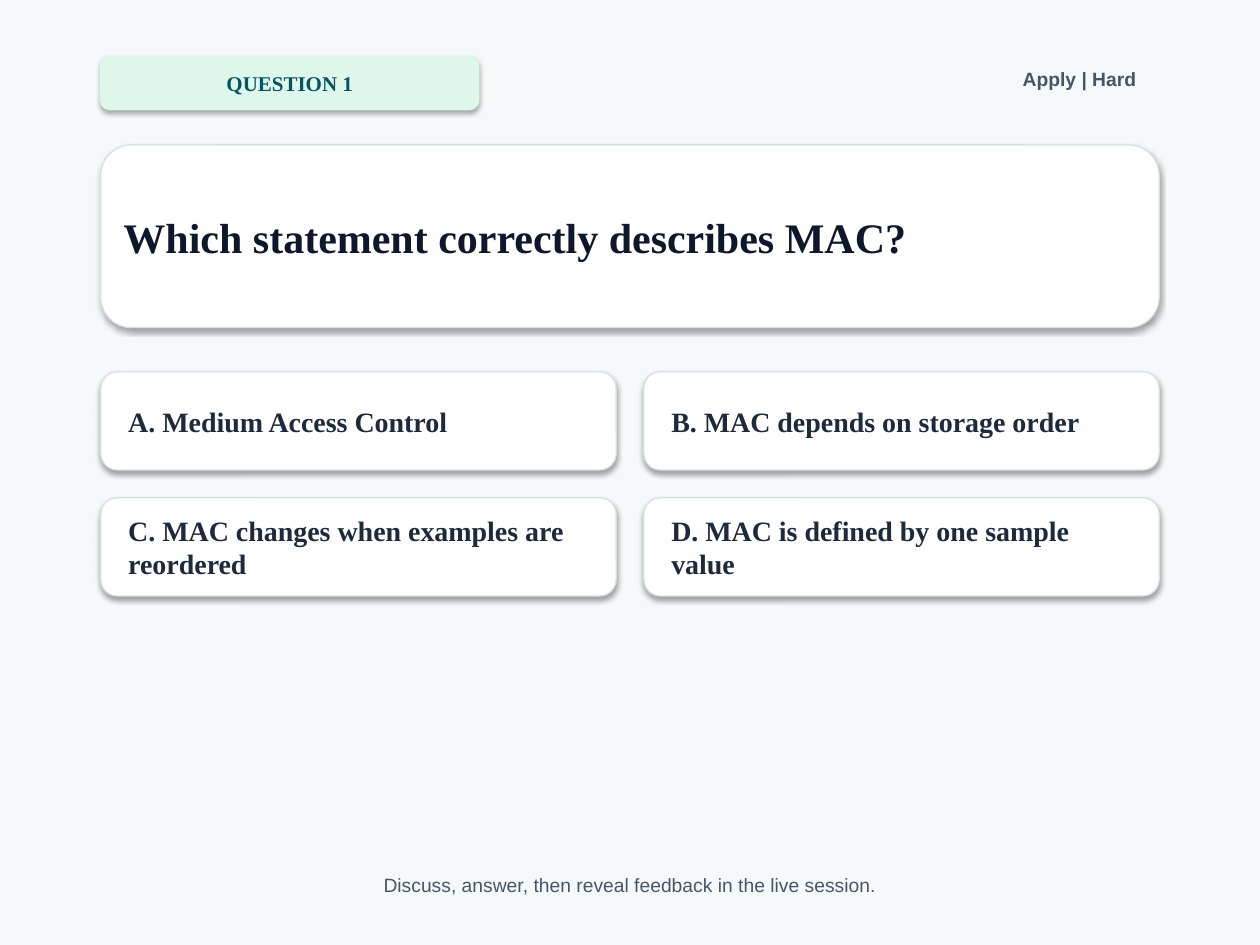
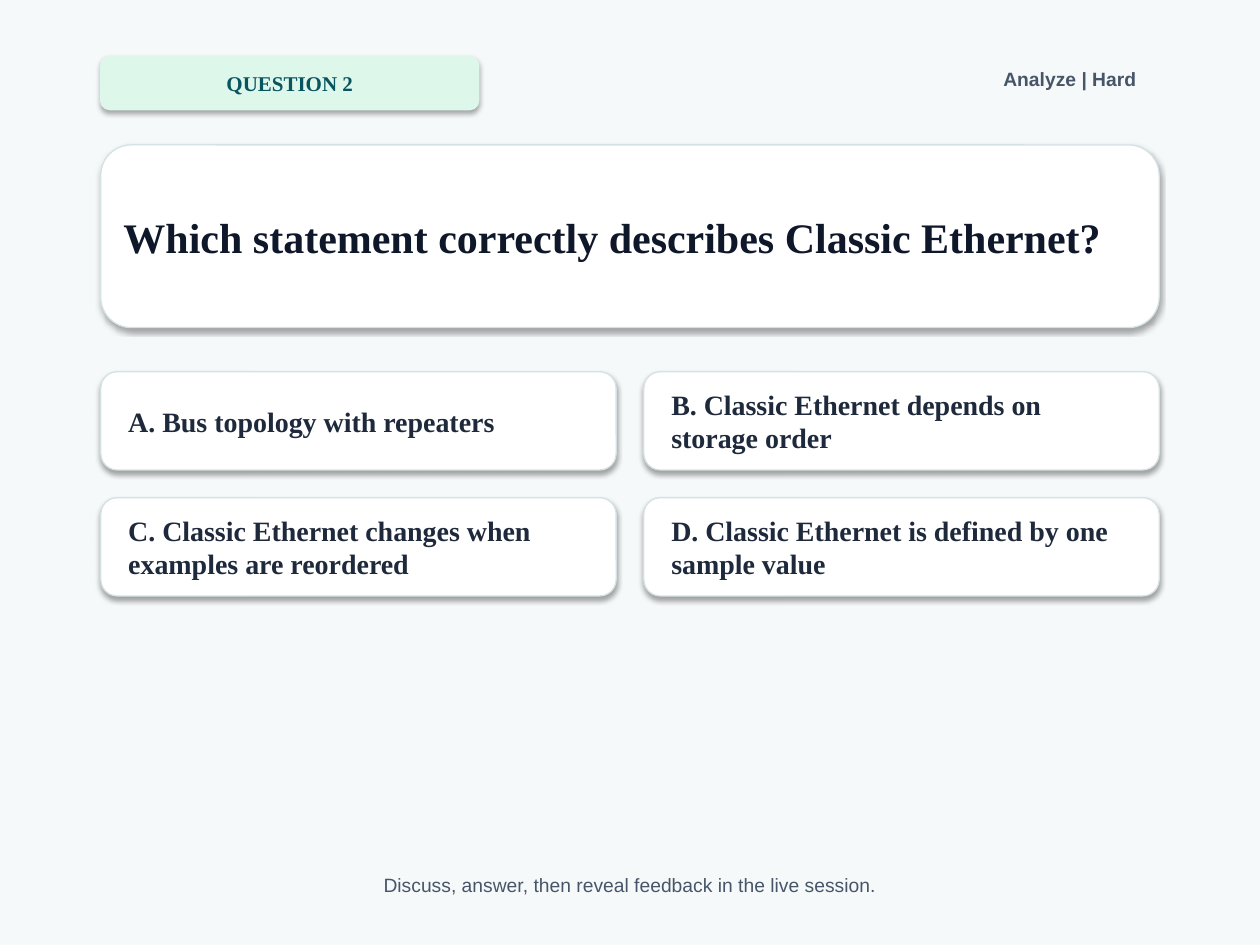
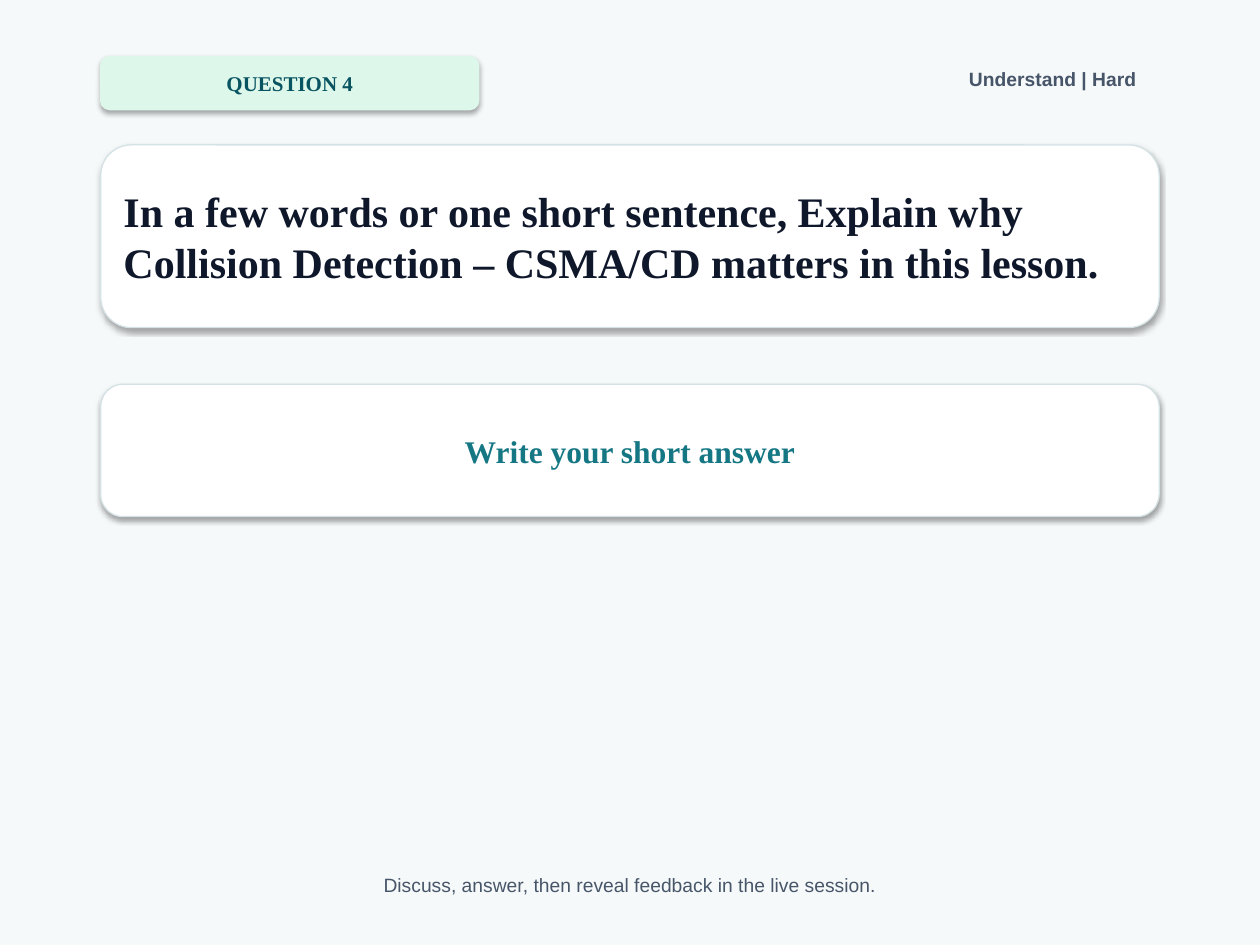
from pptx import Presentation
from pptx.dml.color import RGBColor
from pptx.enum.shapes import MSO_SHAPE
from pptx.enum.text import MSO_ANCHOR, MSO_AUTO_SIZE, PP_ALIGN
from pptx.util import Inches, Pt

ROUNDED = MSO_SHAPE.ROUNDED_RECTANGLE
TOP, MIDDLE = MSO_ANCHOR.TOP, MSO_ANCHOR.MIDDLE
LEFT, CENTER, RIGHT = PP_ALIGN.LEFT, PP_ALIGN.CENTER, PP_ALIGN.RIGHT
NO_AUTOFIT = MSO_AUTO_SIZE.NONE
TITLE_ONLY = 5

COLORS = {
    "background": "F6F9FA",
    "badge": "DEF7EB",
    "badge_text": "085461",
    "card": "FFFFFF",
    "card_line": "D4E2E5",
    "question": "0F172A",
    "option": "1E293B",
    "prompt": "167784",
    "muted": "475569",
}
SERIF, SANS = "Times New Roman", "Arial"

MARGIN = 0.8
CONTENT_WIDTH = 8.4
HEADER_TOP, HEADER_HEIGHT = 0.45, 0.42
QUESTION_AREA = (MARGIN, 1.15, CONTENT_WIDTH, 1.45)
ANSWER_AREA = (MARGIN, 3.05, CONTENT_WIDTH, 1.05)
OPTION_TOP, OPTION_WIDTH, OPTION_HEIGHT = 2.95, 4.09, 0.78
OPTION_GAP = 0.22
FOOTER = "Discuss, answer, then reveal feedback in the live session."
PROMPT = "Write your short answer"

QUESTIONS = [
    {
        "number": 1,
        "level": "Apply | Hard",
        "question": "Which statement correctly describes MAC?",
        "options": [
            "Medium Access Control",
            "MAC depends on storage order",
            "MAC changes when examples are reordered",
            "MAC is defined by one sample value",
        ],
    },
    {
        "number": 2,
        "level": "Analyze | Hard",
        "question": "Which statement correctly describes Classic Ethernet?",
        "options": [
            "Bus topology with repeaters",
            "Classic Ethernet depends on storage order",
            "Classic Ethernet changes when examples are reordered",
            "Classic Ethernet is defined by one sample value",
        ],
    },
    {
        "number": 4,
        "level": "Understand | Hard",
        "question": "In a few words or one short sentence, Explain why "
                    "Collision Detection – CSMA/CD matters in this lesson.",
        "options": [],
    },
]


def color(name):
    return RGBColor.from_string(COLORS[name])


def inches(area):
    return [Inches(length) for length in area]


def write(shape, text, size, text_color, font=SERIF, bold=True, align=LEFT, anchor=MIDDLE):
    frame = shape.text_frame
    frame.word_wrap = True
    frame.auto_size = NO_AUTOFIT
    frame.vertical_anchor = anchor
    frame.margin_left = frame.margin_right = Inches(0.18)
    frame.margin_top = frame.margin_bottom = Inches(0.08)
    frame.text = text
    paragraph = frame.paragraphs[0]
    paragraph.alignment = align
    paragraph.font.name = font
    paragraph.font.size = Pt(size)
    paragraph.font.bold = bold
    paragraph.font.color.rgb = color(text_color)


def add_card(slide, area, fill="card", line="card_line"):
    """Add a rounded panel that keeps the soft shadow of the theme."""
    card = slide.shapes.add_shape(ROUNDED, *inches(area))
    card.fill.solid()
    card.fill.fore_color.rgb = color(fill)
    card.line.color.rgb = color(line)
    card.line.width = Pt(0.75)
    return card


def add_label(slide, area, text, bold, align):
    box = slide.shapes.add_textbox(*inches(area))
    write(box, text, 11, "muted", SANS, bold, align, TOP)


def add_header(slide, number, level):
    badge = add_card(slide, (MARGIN, HEADER_TOP, 3, HEADER_HEIGHT), "badge", "badge")
    write(badge, f"QUESTION {number}", 12, "badge_text", align=CENTER)
    add_label(slide, (6, HEADER_TOP, 3.2, HEADER_HEIGHT), level, True, RIGHT)


def add_question(slide, text):
    """Put the slide title on top of its own card."""
    title = slide.shapes.title
    card = add_card(slide, QUESTION_AREA)
    title.element.addprevious(card.element)
    title.left, title.top, title.width, title.height = inches(QUESTION_AREA)
    write(title, text, 24, "question")


def add_options(slide, options):
    """Lay the lettered options out in two columns."""
    for index, (letter, option) in enumerate(zip("ABCD", options)):
        row, column = divmod(index, 2)
        left = MARGIN + column * (OPTION_WIDTH + OPTION_GAP)
        top = OPTION_TOP + row * (OPTION_HEIGHT + OPTION_GAP)
        card = add_card(slide, (left, top, OPTION_WIDTH, OPTION_HEIGHT))
        write(card, f"{letter}. {option}", 16, "option")


def add_answer_card(slide):
    write(add_card(slide, ANSWER_AREA), PROMPT, 18, "prompt", align=CENTER)


def add_question_slide(deck, item):
    slide = deck.slides.add_slide(deck.slide_layouts[TITLE_ONLY])
    add_header(slide, item["number"], item["level"])
    add_question(slide, item["question"])
    if item["options"]:
        add_options(slide, item["options"])
    else:
        add_answer_card(slide)
    add_label(slide, (MARGIN, 6.85, CONTENT_WIDTH, 0.28), FOOTER, False, CENTER)


def main():
    deck = Presentation()
    deck.slide_width, deck.slide_height = Inches(10), Inches(7.5)
    background = deck.slide_master.background.fill
    background.solid()
    background.fore_color.rgb = color("background")
    for item in QUESTIONS:
        add_question_slide(deck, item)
    deck.save("out.pptx")


if __name__ == "__main__":
    main()
